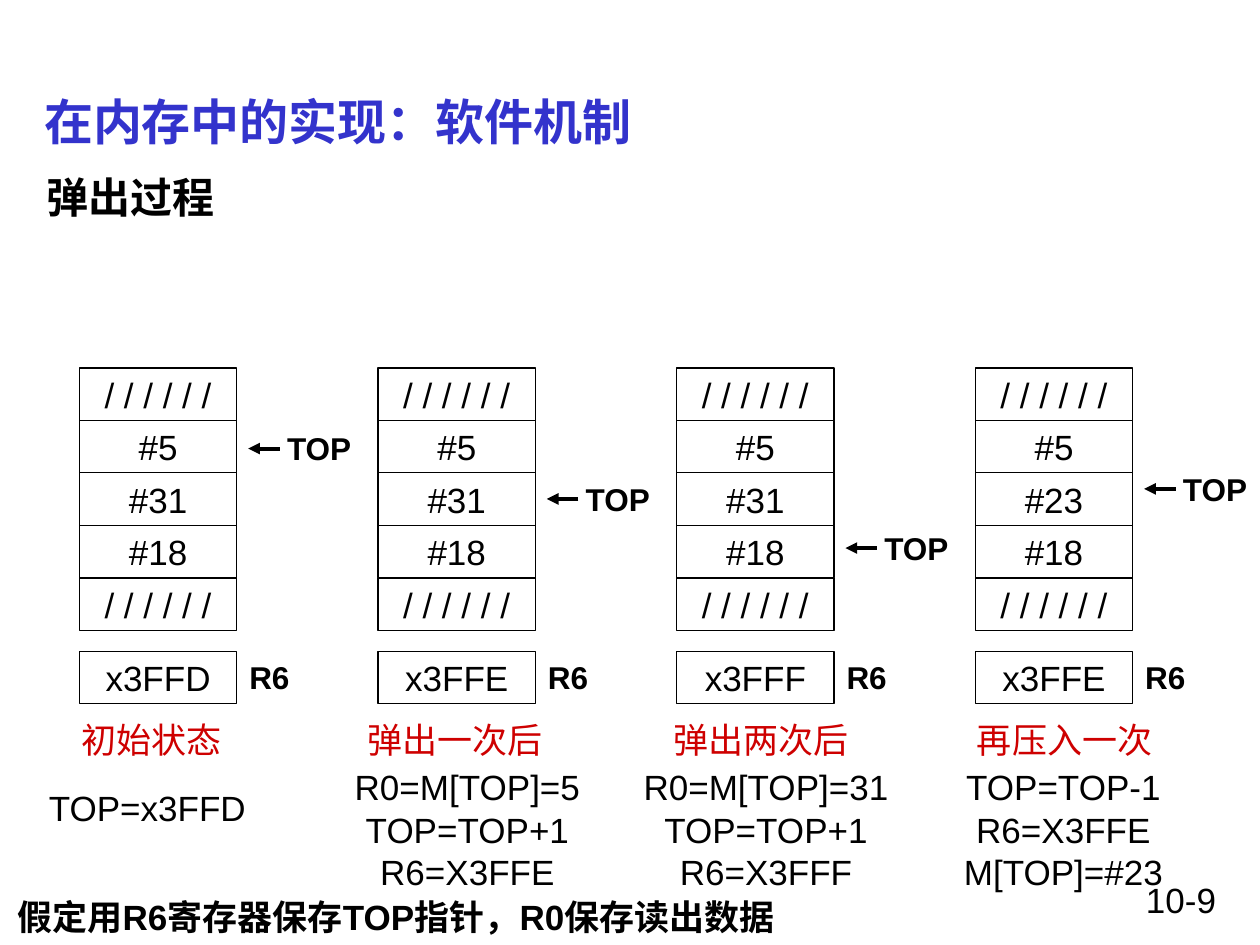
from lxml import etree
from pptx import Presentation
from pptx.dml.color import RGBColor
from pptx.enum.shapes import MSO_CONNECTOR, MSO_SHAPE
from pptx.enum.text import MSO_ANCHOR, MSO_AUTO_SIZE, PP_ALIGN
from pptx.oxml.ns import qn
from pptx.util import Inches, Pt

BLACK = RGBColor(0, 0, 0)
BLUE = RGBColor(0x33, 0x33, 0xCC)
RED = RGBColor(0xCE, 0, 0)
LEFT, CENTER, RIGHT = PP_ALIGN.LEFT, PP_ALIGN.CENTER, PP_ALIGN.RIGHT
TOP, MIDDLE = MSO_ANCHOR.TOP, MSO_ANCHOR.MIDDLE
RECTANGLE, STRAIGHT = MSO_SHAPE.RECTANGLE, MSO_CONNECTOR.STRAIGHT
NO_AUTOFIT = MSO_AUTO_SIZE.NONE

TITLE = "在内存中的实现：软件机制"
SUBTITLE = "弹出过程"
FOOTNOTE = "假定用R6寄存器保存TOP指针，R0保存读出数据"
PAGE_NUMBER = "10-9"
UNUSED = "/ / / / / /"
STATES = [
    {"cells": [UNUSED, "#5", "#31", "#18", UNUSED], "register": "x3FFD",
     "pointer_y": 3.56, "caption": "初始状态", "caption_x": 1.2,
     "steps": ["TOP=x3FFD"], "steps_x": 1.17, "steps_y": 6.19},
    {"cells": [UNUSED, "#5", "#31", "#18", UNUSED], "register": "x3FFE",
     "pointer_y": 3.96, "caption": "弹出一次后", "caption_x": 3.61,
     "steps": ["R0=M[TOP]=5", "TOP=TOP+1", "R6=X3FFE"], "steps_x": 3.71, "steps_y": 6.03},
    {"cells": [UNUSED, "#5", "#31", "#18", UNUSED], "register": "x3FFF",
     "pointer_y": 4.35, "caption": "弹出两次后", "caption_x": 6.04,
     "steps": ["R0=M[TOP]=31", "TOP=TOP+1", "R6=X3FFF"], "steps_x": 6.08, "steps_y": 6.03},
    {"cells": [UNUSED, "#5", "#23", "#18", UNUSED], "register": "x3FFE",
     "pointer_y": 3.88, "caption": "再压入一次", "caption_x": 8.45,
     "steps": ["TOP=TOP-1", "R6=X3FFE", "M[TOP]=#23"], "steps_x": 8.44, "steps_y": 6.03},
]

STACK_LEFT, STACK_TOP, COLUMN_PITCH = 0.63, 2.92, 2.37
CELL_WIDTH, CELL_HEIGHT = 1.25, 5 / 12
REGISTER_TOP, CAPTION_TOP = 5.17, 5.65
ARROW_GAP, ARROW_LENGTH = 0.09, 0.25
LABEL_HEIGHT, LINE_HEIGHT = 0.4, 0.33


def write(shape, text, size=20, color=BLACK, bold=False, align=LEFT, anchor=TOP, wrap=False):
    """Fill a shape with formatted paragraphs, one for each line of text."""
    frame = shape.text_frame
    frame.text = text
    frame.auto_size = NO_AUTOFIT
    frame.word_wrap = wrap
    frame.vertical_anchor = anchor
    frame.margin_left = frame.margin_right = Inches(0.1)
    frame.margin_top = frame.margin_bottom = Inches(0.05)
    for paragraph in frame.paragraphs:
        paragraph.alignment = align
        paragraph.space_before = Pt(0)
        for run in paragraph.runs:
            run.font.name = "Arial"
            run.font.size = Pt(size)
            run.font.bold = bold
            run.font.color.rgb = color


def place(shape, left, top, width, height):
    """Move and size a shape in inches."""
    shape.left, shape.top = Inches(left), Inches(top)
    shape.width, shape.height = Inches(width), Inches(height)


def add_label(slide, text, left, top, width, height, **text_format):
    """Add a text box."""
    box = slide.shapes.add_textbox(Inches(left), Inches(top), Inches(width), Inches(height))
    write(box, text, **text_format)


def add_cell(slide, text, left, top):
    """Add one outlined memory cell."""
    cell = slide.shapes.add_shape(
        RECTANGLE, Inches(left), Inches(top), Inches(CELL_WIDTH), Inches(CELL_HEIGHT))
    cell.shadow.inherit = False
    cell.fill.background()
    cell.line.color.rgb = BLACK
    cell.line.width = Pt(0.75)
    write(cell, text, align=CENTER, anchor=MIDDLE)


def add_pointer(slide, left, middle):
    """Add an arrow to the left with its TOP label."""
    tail = left + ARROW_LENGTH
    arrow = slide.shapes.add_connector(
        STRAIGHT, Inches(tail), Inches(middle), Inches(left), Inches(middle))
    arrow.line.color.rgb = BLACK
    arrow.line.width = Pt(2.25)
    etree.SubElement(arrow.line._get_or_add_ln(), qn("a:tailEnd"), type="triangle")
    etree.SubElement(arrow._element.spPr, qn("a:effectLst"))
    add_label(slide, "TOP", tail - 0.04, middle - LABEL_HEIGHT / 2, 0.71, LABEL_HEIGHT,
              size=18, bold=True)


def add_state(slide, state, left):
    """Add a stack with its pointer, register, caption and steps."""
    for row, text in enumerate(state["cells"]):
        add_cell(slide, text, left, STACK_TOP + row * CELL_HEIGHT)
    right = left + CELL_WIDTH
    add_pointer(slide, right + ARROW_GAP, state["pointer_y"])
    add_cell(slide, state["register"], left, REGISTER_TOP)
    add_label(slide, "R6", right, REGISTER_TOP, 0.52, LABEL_HEIGHT, size=18, bold=True)
    caption_width = 0.2 + 0.28 * len(state["caption"])
    add_label(slide, state["caption"], state["caption_x"] - caption_width / 2, CAPTION_TOP,
              caption_width, 0.44, color=RED, align=CENTER)
    steps = state["steps"]
    add_label(slide, "\n".join(steps), state["steps_x"] - 1, state["steps_y"],
              2, 0.1 + LINE_HEIGHT * len(steps), align=CENTER)


def main():
    """Build the slide and save it."""
    presentation = Presentation()
    presentation.slide_width, presentation.slide_height = Inches(10), Inches(7.5)
    slide = presentation.slides.add_slide(presentation.slide_layouts[1])
    title, body = slide.placeholders
    place(title, 0.25, 0.67, 9.5, 0.58)
    write(title, TITLE, size=28, color=BLUE, bold=True, anchor=MIDDLE, wrap=True)
    place(body, 0.27, 1.31, 9.5, 5.81)
    write(body, SUBTITLE, size=24, bold=True, wrap=True)
    properties = body.text_frame.paragraphs[0]._p.get_or_add_pPr()
    properties.set("marL", "0")
    properties.set("indent", "0")
    etree.SubElement(properties, qn("a:buNone"))
    for column, state in enumerate(STATES):
        add_state(slide, state, STACK_LEFT + column * COLUMN_PITCH)
    add_label(slide, FOOTNOTE, 0.04, 7.06, 6.61, 0.44, bold=True)
    add_label(slide, PAGE_NUMBER, 7.17, 6.92, 2.58, 0.42, align=RIGHT, wrap=True)
    presentation.save("out.pptx")


if __name__ == "__main__":
    main()
